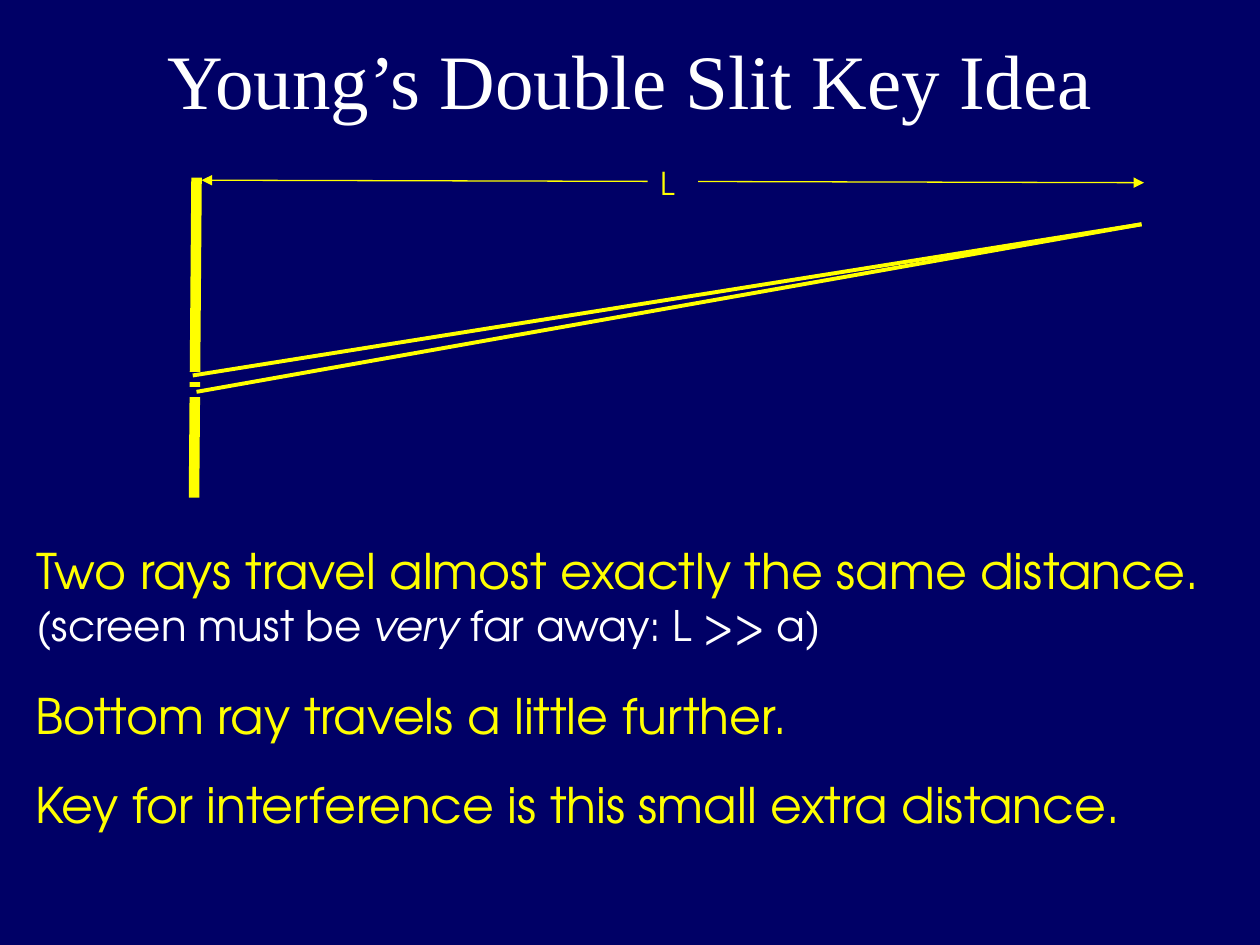
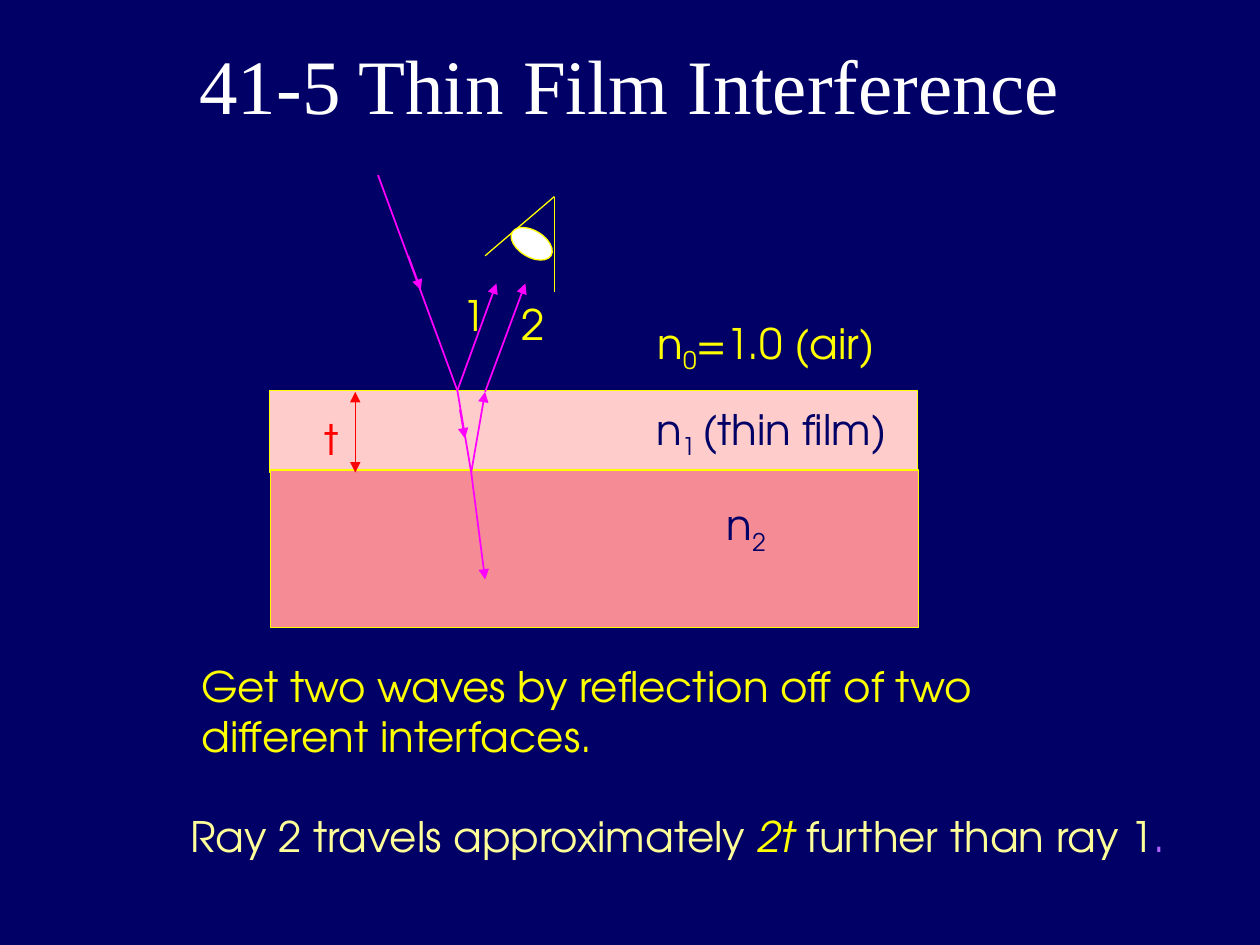
"""Build two optics slides: the double slit idea and thin film interference."""
import pptx
import pptx.dml.color
import pptx.enum.shapes
import pptx.enum.text
import pptx.oxml.ns
import pptx.util
from lxml import etree

Inches = pptx.util.Inches
Pt = pptx.util.Pt
MSO_SHAPE = pptx.enum.shapes.MSO_SHAPE
BODY_FONT = "TeX Gyre Adventor"
TITLE_FONT = "Times New Roman"
COLORS = {
    "navy": "000066", "yellow": "FFFF00", "white": "FFFFFF", "cream": "FFFF99",
    "film": "FFCCCC", "base": "F58B95", "ray": "FF00FF", "red": "FF0000",
    "violet": "B163FF",
}


def rgb(name):
    """Return the named palette colour."""
    return pptx.dml.color.RGBColor.from_string(COLORS[name])


def add_sub(parent, tag, **attributes):
    """Append a drawing element to parent."""
    return etree.SubElement(parent, pptx.oxml.ns.qn(tag), **attributes)


def add_line(slide, box, start, end, color="yellow", width=0.75, heads=()):
    """Draw a line between two points of box, with triangles at the named ends."""
    x, y = box[:2]
    c = slide.shapes.add_connector(
        pptx.enum.shapes.MSO_CONNECTOR.STRAIGHT,
        Inches(x + start[0]), Inches(y + start[1]),
        Inches(x + end[0]), Inches(y + end[1]))
    c.line.color.rgb = rgb(color)
    c.line.width = Pt(width)
    ln = c.line._get_or_add_ln()
    for end_tag in ("headEnd", "tailEnd"):
        if end_tag in heads:
            add_sub(ln, "a:" + end_tag, type="triangle")
    add_sub(c._element.spPr, "a:effectLst")


def add_block(slide, box, area, kind, fill):
    """Draw a filled, yellow-edged shape at an area of box."""
    x, y = box[:2]
    left, top, w, h = area
    sp = slide.shapes.add_shape(
        kind, Inches(x + left), Inches(y + top), Inches(w), Inches(h))
    sp.shadow.inherit = False
    sp.fill.solid()
    sp.fill.fore_color.rgb = rgb(fill)
    sp.line.color.rgb = rgb("yellow")
    sp.line.width = Pt(0.75)
    return sp


def add_text(slide, box, paragraphs, size=24, color="yellow", font=BODY_FONT):
    """Add a text box; each paragraph is a list of (text, run options)."""
    sp = slide.shapes.add_textbox(*map(Inches, box))
    tf = sp.text_frame
    tf.word_wrap = True
    for i, runs in enumerate(paragraphs):
        p = tf.paragraphs[0] if i == 0 else tf.add_paragraph()
        p.font.size = Pt(size)
        p.font.name = font
        p.font.color.rgb = rgb(color)
        for text, options in runs:
            r = p.add_run()
            r.text = text
            if "color" in options:
                r.font.color.rgb = rgb(options["color"])
            if "italic" in options:
                r.font.italic = True
            if "sub" in options:
                r._r.get_or_add_rPr().set("baseline", "-25000")
    return sp


def add_slide(prs, title, box):
    """Add a navy slide with a centred title in box."""
    slide = prs.slides.add_slide(prs.slide_layouts[6])
    slide.background.fill.solid()
    slide.background.fill.fore_color.rgb = rgb("navy")
    tf = add_text(slide, box, [[(title, {})]], 44, "white", TITLE_FONT).text_frame
    tf.vertical_anchor = pptx.enum.text.MSO_ANCHOR.MIDDLE
    tf.paragraphs[0].alignment = pptx.enum.text.PP_ALIGN.CENTER
    return slide


def draw_double_slit(slide, box):
    """Draw the barrier, its two slits, the rays and the distance L."""
    x, y = box[:2]
    add_line(slide, box, (0.1, 0.18), (7.58, 0.2), heads=("headEnd", "tailEnd"))
    add_line(slide, box, (0.06, 0.16), (0.04, 2.7), width=6)
    label = add_text(slide, (x + 3.64, y, 0.4, 0.4), [[("L", {})]], 18)
    label.fill.solid()
    label.fill.fore_color.rgb = rgb("navy")
    for slit_x, slit_y in ((0.05, 1.7), (0.04, 1.82)):
        add_line(slide, box, (slit_x, slit_y), (slit_x, slit_y + 0.08), "navy", 8)
    for ray_start in ((0.03, 1.73), (0.06, 1.86)):
        add_line(slide, box, ray_start, (7.56, 0.53), width=2.25)


def draw_eye(slide, box):
    """Draw the observer's eye."""
    w, h = box[2:]
    add_line(slide, box, (0, 0.47), (w, 0))
    add_line(slide, box, (w, 0), (w, h))
    pupil = add_block(slide, box, (0.19, 0.27, 0.36, 0.21), MSO_SHAPE.OVAL, "white")
    pupil.rotation = 31.2


def draw_thin_film(slide, box):
    """Draw the film on its base, with labels, thickness and rays."""
    x, y = box[:2]
    add_block(slide, box, (0, 1.71, 5.14, 0.65), MSO_SHAPE.RECTANGLE, "film")
    add_block(slide, box, (0.01, 2.34, 5.14, 1.25), MSO_SHAPE.RECTANGLE, "base")
    sub = {"sub": True}
    labels = [
        ((2.97, 1.76, 2.14, 0.56), "navy", [("n", {}), ("1 ", sub), ("(thin film)", {})]),
        ((3.53, 2.52, 0.78, 0.56), "navy", [("n", {}), ("2", sub)]),
        ((2.98, 1.08, 2.4, 0.56), "yellow", [("n", {}), ("0", sub), ("=1.0 (air)", {})]),
        ((0.34, 1.84, 0.26, 0.5), "red", [("t", {})]),
        ((1.43, 0.86, 0.35, 0.5), "yellow", [("1", {})]),
        ((1.9, 0.93, 0.49, 0.5), "yellow", [("2", {})]),
    ]
    for (left, top, w, h), color, runs in labels:
        add_text(slide, (x + left, y + top, w, h), [runs], color=color)
    add_line(slide, box, (0.68, 1.72), (0.68, 2.36), "red",
             heads=("headEnd", "tailEnd"))
    entry, bottom, leave = (1.49, 1.71), (1.6, 2.36), (1.71, 1.72)
    plain, arrow = (), ("tailEnd",)
    rays = [
        ((0.86, 0), entry, plain),
        ((1.1, 0.64), (1.2, 0.91), arrow),
        (entry, bottom, plain),
        ((1.51, 1.86), (1.55, 2.09), arrow),
        (entry, (1.8, 0.86), arrow),
        (bottom, leave, arrow),
        (leave, (2.03, 0.86), arrow),
        (bottom, (1.71, 3.21), arrow),
    ]
    for start, end, heads in rays:
        add_line(slide, box, start, end, "ray", 1, heads)


def build_double_slit(prs):
    """Build the double slit slide."""
    slide = add_slide(prs, "Young’s Double Slit Key Idea", (0, 0, 10, 1.25))
    draw_double_slit(slide, (1.5, 1.25, 7.6, 2.75))
    tf = add_text(slide, (0.19, 4.24, 9.67, 0.97), [
        [("Two rays travel almost exactly the same distance.", {})],
        [("(screen must be ", {}), ("very", {"italic": True}),
         (" far away: L >> a)", {})],
    ], 28).text_frame
    note = tf.paragraphs[1]
    note.font.size = Pt(24)
    note.font.color.rgb = rgb("white")
    tf = add_text(slide, (0.18, 5.39, 9.23, 1.28), [
        [("Bottom ray travels a little further.", {})],
        [("Key for interference is this small extra distance.", {})],
    ], 28).text_frame
    tf.paragraphs[1].space_before = Pt(17.5)


def build_thin_film(prs):
    """Build the thin film slide."""
    slide = add_slide(prs, "41-5 Thin Film Interference", (0.75, 0.04, 8.5, 1.25))
    draw_thin_film(slide, (2.14, 1.39, 5.15, 3.6))
    draw_eye(slide, (3.85, 1.56, 0.55, 0.76))
    add_text(slide, (1.5, 5.19, 7.54, 0.9), [
        [("Get two waves by reflection off of two different interfaces.", {})]])
    add_text(slide, (1.41, 6.38, 8.15, 0.5), [[
        ("Ray 2 travels approximately ", {}),
        ("2t", {"color": "yellow", "italic": True}),
        (" further than ray 1", {}),
        (".", {"color": "violet"}),
    ]], color="cream")


def main():
    """Build and save the presentation."""
    prs = pptx.Presentation()
    prs.slide_width = Inches(10)
    prs.slide_height = Inches(7.5)
    build_double_slit(prs)
    build_thin_film(prs)
    prs.save("out.pptx")


if __name__ == "__main__":
    main()
